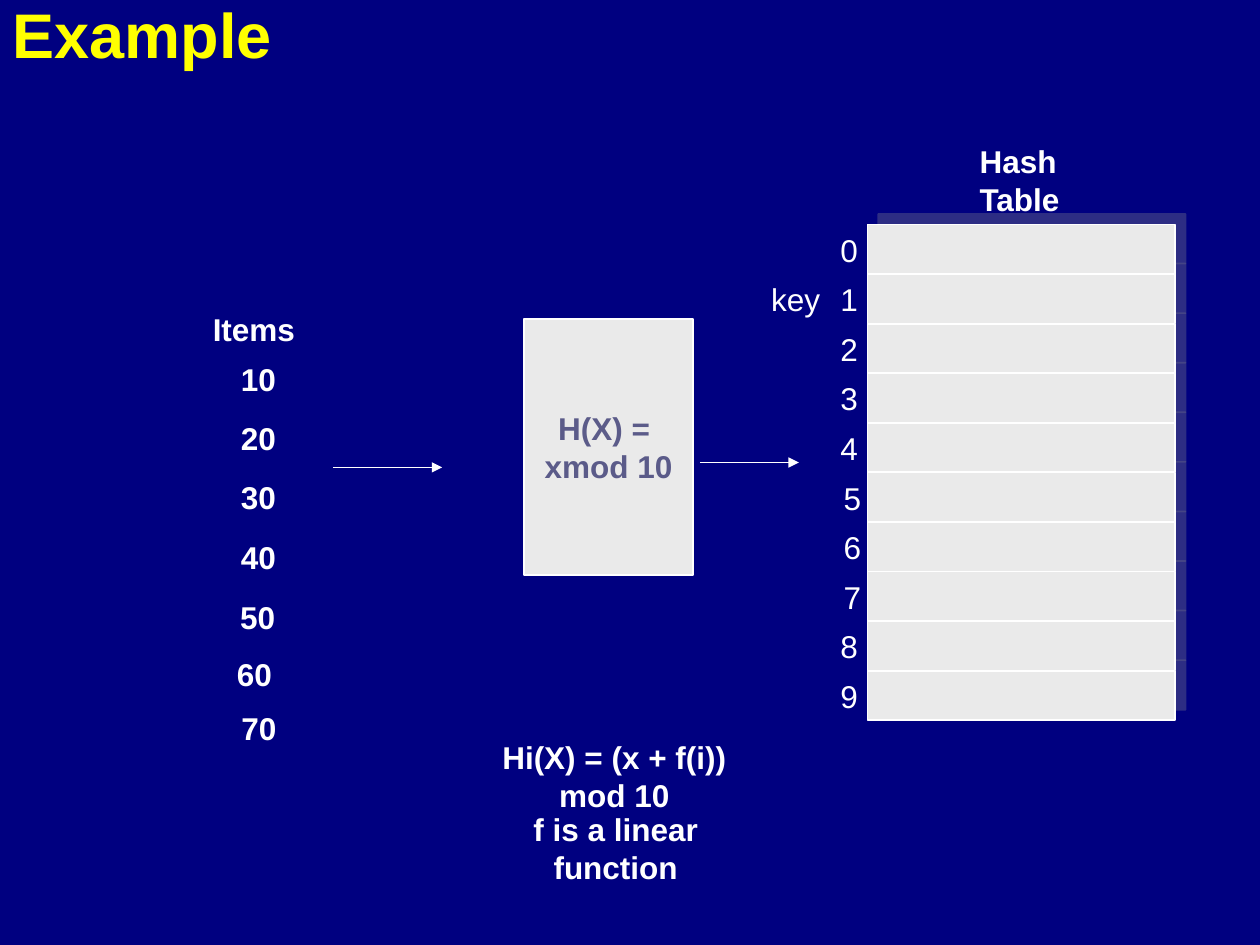
from lxml import etree
from pptx import Presentation
from pptx.dml.color import RGBColor
from pptx.enum import shapes, text
from pptx.oxml import ns
from pptx.util import Pt

HEX = {"back": "000080", "title": "FFFF00", "text": "FFFFFF",
       "cell": "EAEAEA", "dim": "5B5B89"}
ROW = 28.33
TOP = 128.3
LEFT, MID = text.PP_ALIGN.LEFT, text.PP_ALIGN.CENTER


def rgb(name):
    return RGBColor.from_string(HEX[name])


def sub(node, tag, **attrs):
    return etree.SubElement(node, ns.qn(tag), attrs)


def style(frame, words, size=18, color="text", bold=True, align=LEFT):
    frame.text = words
    for para in frame.paragraphs:
        para.alignment = align
        for run in para.runs:
            run.font.name = "Arial"
            run.font.size = Pt(size)
            run.font.bold = bold
            run.font.color.rgb = rgb(color)


def add_title(slide, words):
    title = slide.shapes.title
    title.left, title.top, title.width, title.height = Pt(0), Pt(0.7), Pt(520.6), Pt(44)
    frame = title.text_frame
    style(frame, words, 36, "title")
    frame.vertical_anchor = text.MSO_ANCHOR.MIDDLE
    frame.paragraphs[0].line_spacing = 0.85


def add_label(slide, words, x, y, w, h=28.8, bold=True):
    box = slide.shapes.add_textbox(Pt(x), Pt(y), Pt(w), Pt(h))
    box.text_frame.word_wrap = False
    style(box.text_frame, words, bold=bold)


def add_line(slide, words, x, y):
    box = slide.shapes.add_textbox(Pt(x), Pt(y), Pt(175.7), Pt(ROW))
    frame = box.text_frame
    frame.word_wrap = False
    frame.vertical_anchor = text.MSO_ANCHOR.MIDDLE
    style(frame, words, align=MID)


def add_box(slide, x, y, w, h):
    box = slide.shapes.add_shape(shapes.MSO_SHAPE.RECTANGLE, Pt(x), Pt(y), Pt(w), Pt(h))
    box.shadow.inherit = False
    box.fill.solid()
    box.fill.fore_color.rgb = rgb("cell")
    box.line.color.rgb = rgb("text")
    box.line.width = Pt(1)
    return box


def add_cell(slide, y):
    cell = add_box(slide, 495.8, y, 175.7, ROW)
    effects = cell.element.spPr.find(ns.qn("a:effectLst"))
    shade = sub(effects, "a:outerShdw", dist=str(Pt(8.5)), dir="18900000",
                algn="ctr", rotWithShape="0")
    tint = sub(shade, "a:srgbClr", val=HEX["dim"])
    sub(tint, "a:alpha", val="50000")


def add_arrow(slide, x, y, end):
    arrow = slide.shapes.add_connector(shapes.MSO_CONNECTOR.STRAIGHT,
                                       Pt(x), Pt(y), Pt(end), Pt(y))
    arrow.line.color.rgb = rgb("text")
    arrow.line.width = Pt(1)
    props = arrow.element.spPr
    sub(props.find(ns.qn("a:ln")), "a:tailEnd", type="triangle")
    sub(props, "a:effectLst")


def add_hash(slide):
    box = add_box(slide, 299.5, 182.2, 96.5, 146.2)
    box.text_frame.word_wrap = False
    box.text_frame.vertical_anchor = text.MSO_ANCHOR.MIDDLE
    style(box.text_frame, "H(X) = \nxmod 10", color="dim", align=MID)


def add_items(slide):
    add_label(slide, "Items", 114.5, 173.5, 61.2)
    spots = [(59.8, 202.3), (59.8, 236.2), (59.8, 270), (59.8, 303.8),
             (59.4, 338.4), (57.6, 370.8), (60.1, 401.8)]
    for num, (x, y) in enumerate(spots, 1):
        add_line(slide, str(num * 10), x, y)


def add_rows(slide):
    add_label(slide, "Hash\nTable", 552.7, 77.8, 63.4, 50.4)
    add_label(slide, "key", 433.6, TOP + ROW - 0.4, 42.5, bold=False)
    for key in reversed(range(10)):
        y = TOP + key * ROW
        add_cell(slide, y)
        add_label(slide, str(key), 475 if key in (5, 6, 7) else 473.2, y, 24.5, bold=False)


def main():
    deck = Presentation()
    deck.slide_width, deck.slide_height = Pt(720), Pt(540)
    slide = deck.slides.add_slide(deck.slide_layouts[5])
    slide.background.fill.solid()
    slide.background.fill.fore_color.rgb = rgb("back")
    add_title(slide, "Example")
    add_hash(slide)
    add_arrow(slide, 399.9, 264.3, 456.5)
    add_arrow(slide, 190.5, 267.1, 252.7)
    add_items(slide)
    add_rows(slide)
    add_line(slide, "Hi(X) = (x + f(i)) mod 10", 263.2, 429.4)
    add_line(slide, "f is a linear function", 264, 470.2)
    deck.save("out.pptx")


if __name__ == "__main__":
    main()
